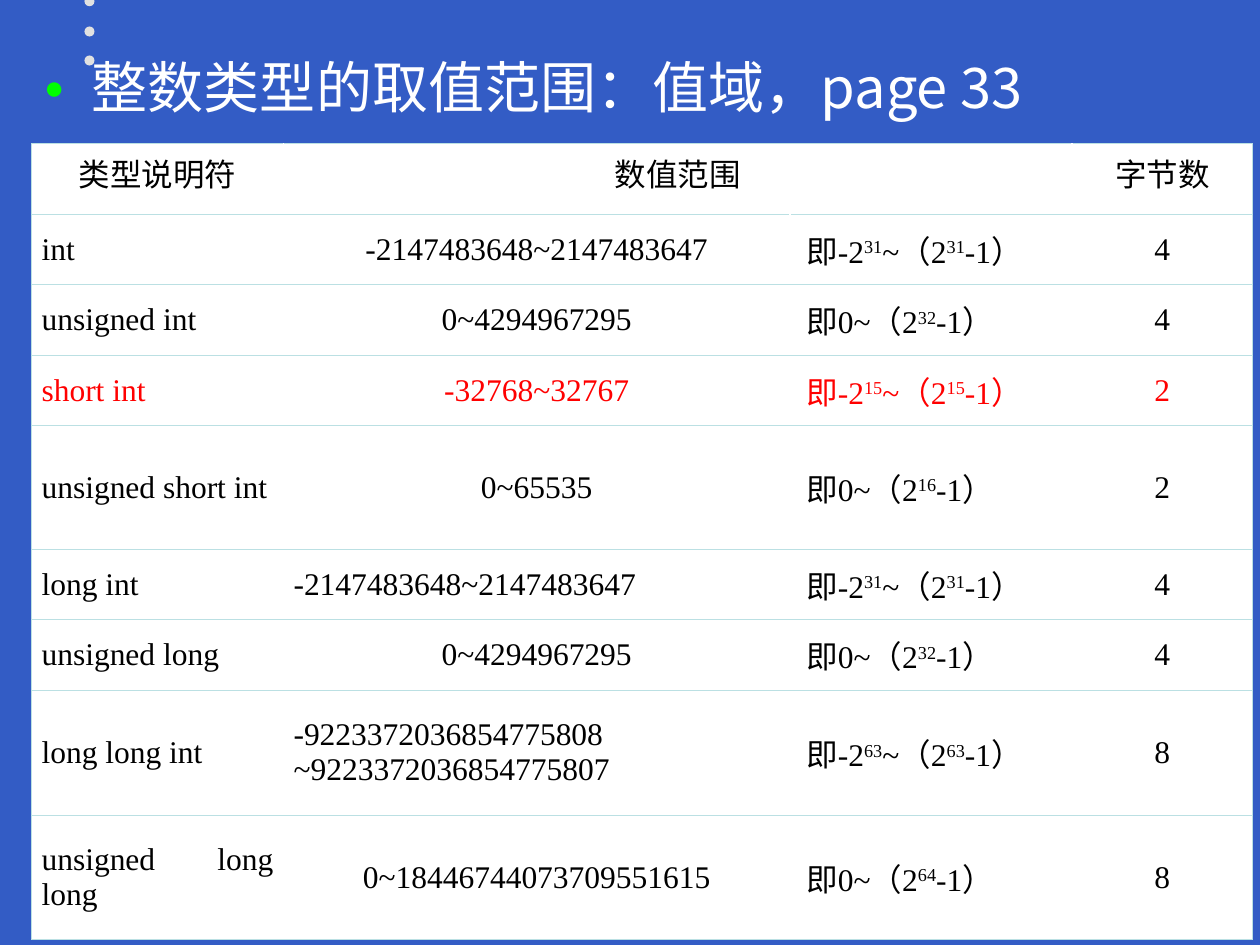
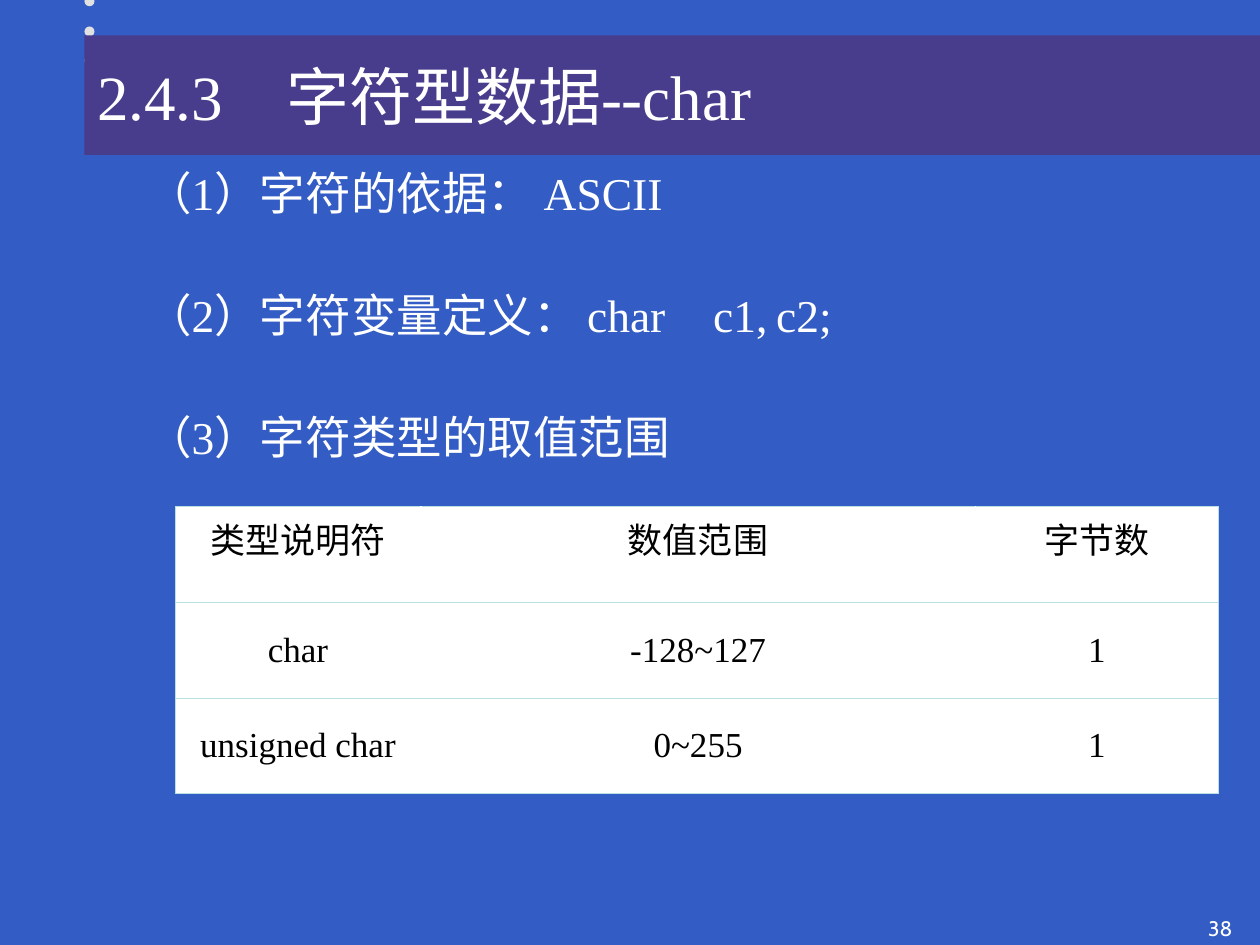
from lxml.etree import SubElement
from pptx import Presentation
from pptx.dml.color import RGBColor
from pptx.enum.shapes import MSO_SHAPE
from pptx.enum.text import MSO_ANCHOR, MSO_AUTO_SIZE, PP_ALIGN
from pptx.oxml import parse_xml
from pptx.oxml.ns import nsdecls, qn
from pptx.util import Inches, Pt

BLUE, BAND, DOT, EDGE = "335CC5", "473D8C", "E1E1E1", "BBE0E3"
WHITE, BLACK, RED, GREEN = "FFFFFF", "000000", "FF0000", "00FF00"
SERIF, SANS, SMALL = "Times New Roman", "Noto Sans CJK SC", "Cabin"
LEFT, MID, JUST = PP_ALIGN.LEFT, PP_ALIGN.CENTER, PP_ALIGN.JUSTIFY

RANGE = "整数类型的取值范围：值域，page 33"
TITLE = "2.4.3\t字符型数据--char"
NOTES = [
    ("（1）字符的依据： ASCII", []),
    ("（2）字符变量定义：\tchar\tc1,\tc2;", [4.18, 5.07, 5.69]),
    ("（3）字符类型的取值范围", []),
]
SIGNED = "即-2^{0}^~（2^{0}^-1）"
PLAIN = "即0~（2^{0}^-1）"
INTS = [
    ("类型说明符", "数值范围", "", "字节数"),
    ("int", "-2147483648~2147483647", SIGNED.format(31), "4"),
    ("unsigned int", "0~4294967295", PLAIN.format(32), "4"),
    ("short int", "-32768~32767", SIGNED.format(15), "2"),
    ("unsigned short int", "0~65535", PLAIN.format(16), "2"),
    ("long int", "-2147483648~2147483647", SIGNED.format(31), "4"),
    ("unsigned long", "0~4294967295", PLAIN.format(32), "4"),
    ("long long int", "-9223372036854775808 ~9223372036854775807",
     SIGNED.format(63), "8"),
    ("unsigned long long", "0~18446744073709551615", PLAIN.format(64), "8"),
]
CHARS = [
    ("类型说明符", "数值范围", "字节数"),
    ("char", "-128~127", "1"),
    ("unsigned char", "0~255", "1"),
]
INT_COLS = [2, 4.02, 2.24, 1.43]
INT_ROWS = [0.56] * 4 + [0.98] + [0.56] * 2 + [0.99] * 2
CHAR_COLS, CHAR_ROWS = [1.95, 4.4, 1.93], [0.76] * 3


def color(code):
    """Turn a hex string into a colour."""
    return RGBColor.from_string(code)


def paint(fill, code):
    """Fill with one solid colour."""
    fill.solid()
    fill.fore_color.rgb = color(code)


def apply(item, values):
    """Set attributes from a dict."""
    for name, value in values.items():
        setattr(item, name, value)


def place(shape, *box):
    """Put a shape at left, top, width, height in inches."""
    names = ("left", "top", "width", "height")
    apply(shape, dict(zip(names, map(Inches, box))))


def write(para, text, size, face=SERIF, ink=WHITE, **form):
    """Write text in a paragraph, raising what stands between carets."""
    apply(para, form)
    for spot, part in enumerate(text.split("^")):
        run = para.add_run()
        run.text = part
        apply(run.font, {"size": Pt(size), "name": face, "bold": False})
        run.font.color.rgb = color(ink)
        props = run._r.get_or_add_rPr()
        SubElement(props, qn("a:ea"), typeface=SANS)
        if spot % 2:
            props.set("baseline", "30000")


def mark(para, bullet=False, hang=0, stops=()):
    """Set the bullet, hanging indent and tab stops."""
    props = para._p.get_or_add_pPr()
    props.set("marL", str(Inches(hang)))
    props.set("indent", str(-Inches(hang)))
    if bullet:
        tint = SubElement(props, qn("a:buClr"))
        SubElement(tint, qn("a:srgbClr"), val=GREEN)
        SubElement(props, qn("a:buSzPct"), val="60000")
        SubElement(props, qn("a:buChar"), char="●")
    else:
        SubElement(props, qn("a:buNone"))
    if stops:
        tabs = SubElement(props, qn("a:tabLst"))
        for stop in stops:
            SubElement(tabs, qn("a:tab"), pos=str(Inches(stop)), algn="l")


def edge(cell, sides):
    """Draw thin lines on the given sides of a cell."""
    props = cell._tc.get_or_add_tcPr()
    for spot, side in enumerate(sides):
        props.insert(spot, parse_xml(
            f'<a:ln{side} {nsdecls("a")} w="5715"><a:solidFill>'
            f'<a:srgbClr val="{EDGE}"/></a:solidFill></a:ln{side}>'))


def grid(slide, rows, at, cols, highs, size, look):
    """Build a white table; look gives alignment and colour of a cell."""
    frame = slide.shapes.add_table(
        len(rows), len(cols), *map(Inches, (*at, sum(cols), sum(highs))))
    table = frame.table
    apply(table, {"first_row": False, "horz_banding": False})
    for col, width in zip(table.columns, cols):
        col.width = Inches(width)
    last = len(cols) - 1
    for r, row in enumerate(rows):
        table.rows[r].height = Inches(highs[r])
        for c, text in enumerate(row):
            cell = table.cell(r, c)
            apply(cell, {
                "margin_left": Inches(0.08), "margin_right": Inches(0.08),
                "vertical_anchor": MSO_ANCHOR.MIDDLE if r else MSO_ANCHOR.TOP})
            paint(cell.fill, WHITE)
            edge(cell, "L" * (c == 0) + "R" * (c == last) + "TB")
            if text:
                align, ink = look(r, c, row)
                write(cell.text_frame.paragraphs[0], text, size,
                      ink=ink, alignment=align)
    return table


def style(r, c, row):
    """Choose alignment and colour in the integer table."""
    wide = c == 1 and row[0].startswith("long")
    align = JUST if r and (c in (0, 2) or wide) else MID
    return align, RED if row[0] == "short int" else BLACK


def start(deck):
    """Add a slide with the shared dots behind its text."""
    slide = deck.slides.add_slide(deck.slide_layouts[1])
    for top in (-0.03, 0.21, 0.44):
        dot = slide.shapes.add_shape(
            MSO_SHAPE.OVAL, *map(Inches, (0.67, top, 0.08, 0.08)))
        paint(dot.fill, DOT)
        dot.line.fill.background()
        dot.shadow.inherit = False
        slide.shapes._spTree.insert(2, dot._element)
    return slide


def body(slide, *box):
    """Place the body placeholder and return its text frame."""
    hold = slide.placeholders[1]
    place(hold, *box)
    hold.text_frame.auto_size = MSO_AUTO_SIZE.NONE
    return hold.text_frame


def integers(deck):
    """Build the slide on integer ranges."""
    slide = start(deck)
    title = slide.shapes.title._element
    title.getparent().remove(title)
    para = body(slide, 0.25, 0.43, 8.92, 4.92).paragraphs[0]
    mark(para, True, 0.38)
    write(para, RANGE, 32, SANS, line_spacing=0.9, space_before=Pt(0))
    table = grid(slide, INTS, (0.25, 1.14), INT_COLS, INT_ROWS, 18, style)
    table.cell(0, 1).merge(table.cell(0, 2))
    for r in range(1, len(INTS)):
        props = table.cell(r, 2).text_frame.paragraphs[0]._p.get_or_add_pPr()
        props.set("marL", str(Inches(0.05)))


def letters(deck):
    """Build the slide on the char type."""
    slide = start(deck)
    title = slide.shapes.title
    place(title, 0.67, 0.28, 9.33, 0.95)
    paint(title.fill, BAND)
    apply(title.text_frame, {"auto_size": MSO_AUTO_SIZE.NONE,
                             "vertical_anchor": MSO_ANCHOR.MIDDLE})
    para = title.text_frame.paragraphs[0]
    mark(para, stops=[1.51])
    write(para, TITLE, 36, alignment=LEFT)
    frame = body(slide, 1.06, 1.31, 8.94, 5.43)
    for spot, (text, stops) in enumerate(NOTES):
        para = frame.add_paragraph() if spot else frame.paragraphs[0]
        mark(para, stops=stops)
        write(para, text, 26, line_spacing=0.9,
              space_before=Pt(41.5 if spot else 0))
    grid(slide, CHARS, (1.39, 4.02), CHAR_COLS, CHAR_ROWS, 20,
         lambda r, c, row: (MID, BLACK))
    page = slide.shapes.add_textbox(*map(Inches, (9.49, 7.22, 0.51, 0.28)))
    page.text_frame.word_wrap = True
    write(page.text_frame.paragraphs[0], "38", 12, SMALL)


def main():
    """Build and save the deck."""
    deck = Presentation()
    apply(deck, {"slide_width": Inches(10), "slide_height": Inches(7.5)})
    paint(deck.slide_master.background.fill, BLUE)
    integers(deck)
    letters(deck)
    deck.save("out.pptx")


if __name__ == "__main__":
    main()
